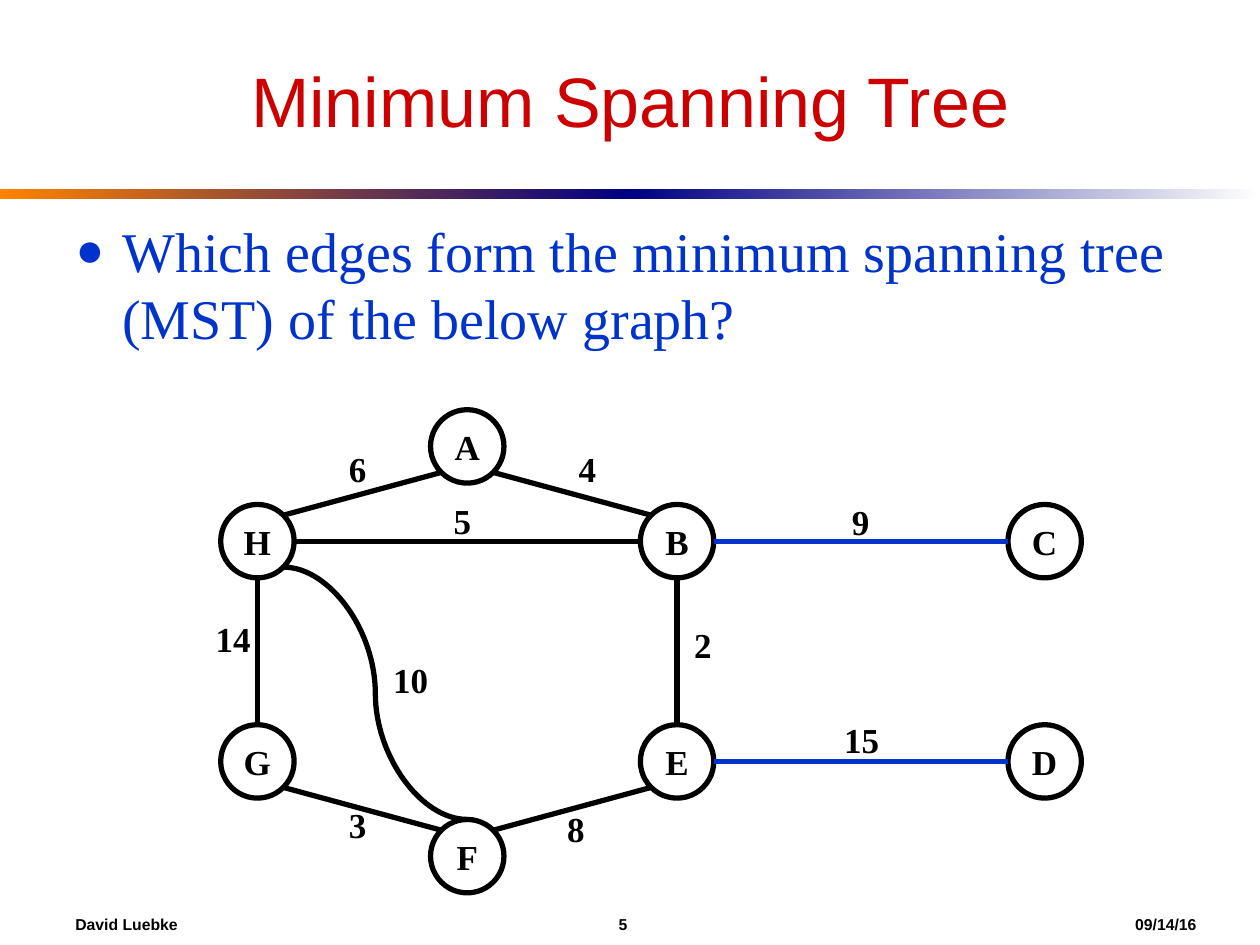
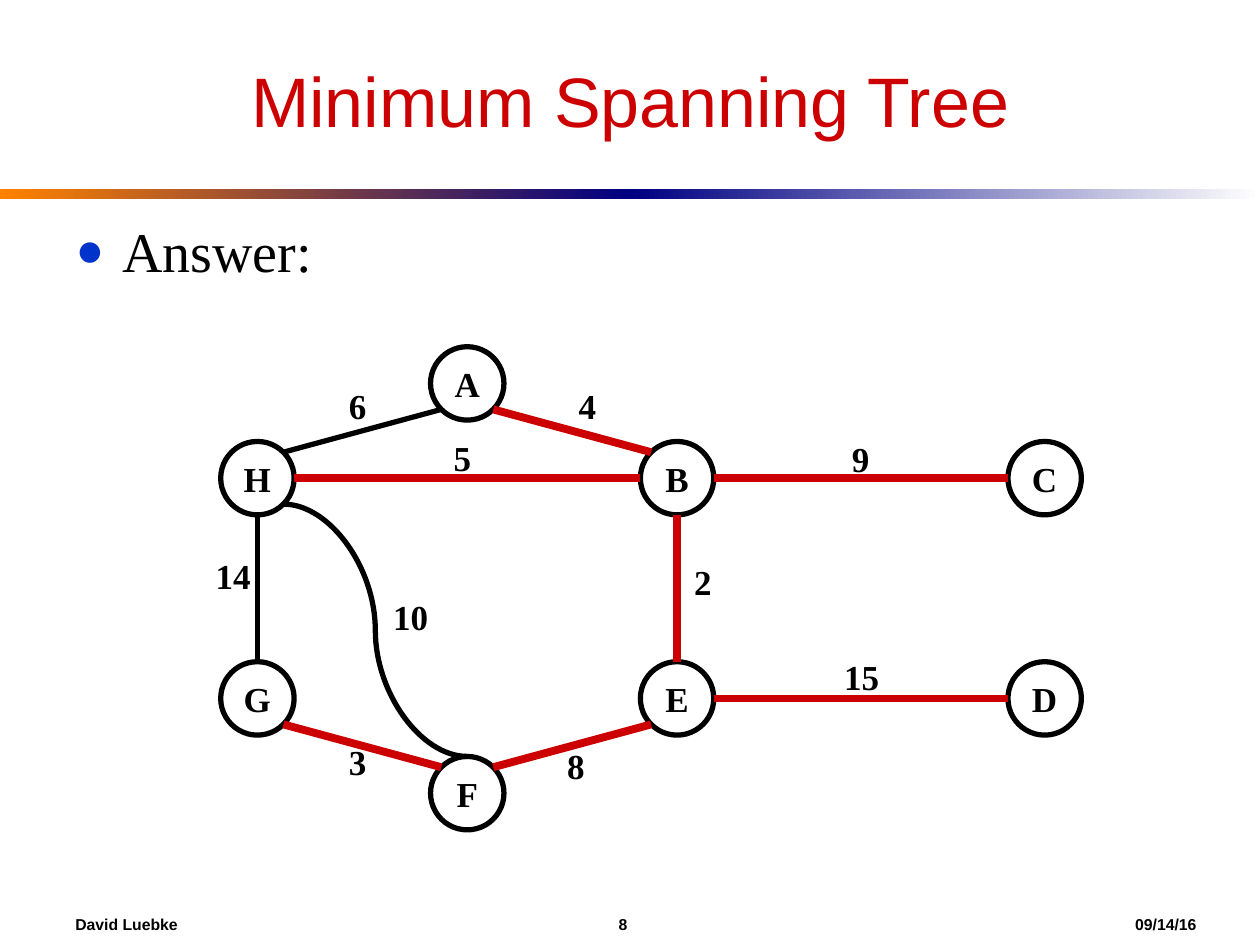
from enum import IntEnum
from math import cos, pi, sin
from typing import NamedTuple

from lxml.etree import SubElement
from pptx import Presentation
from pptx.dml.color import RGBColor
from pptx.enum.shapes import MSO_CONNECTOR, MSO_SHAPE
from pptx.enum.text import MSO_ANCHOR, MSO_AUTO_SIZE, PP_ALIGN
from pptx.oxml.ns import qn
from pptx.util import Cm, Pt

BLACK, BLUE, RED = "000000", "0033CC", "CC0000"
ORANGE, NAVY, WHITE = "FF8200", "000082", "FFFFFF"
SANS, SERIF = "Arial", "Times New Roman"

SLIDE_WIDTH, SLIDE_HEIGHT = 25.4, 19.05
MARGIN, CONTENT_WIDTH = 1.27, 22.86
BAND_TOP, BAND_HEIGHT = 3.81, 0.2
FOOTER_TOP, FOOTER_HEIGHT = 18.21, 0.84
FOOTER_TABS = (("ctr", 11.04), ("r", 22.6))
DIAMETER = 1.48
LABEL_HEIGHT = 1.12

# Left edges of the graph columns and top edges of its rows
X1, X2, X3, X4 = 4.45, 8.68, 12.91, 20.32
Y1, Y2, Y3, Y4 = 0, 1.91, 6.35, 8.26
NODES = {
    "H": (X1, Y2), "B": (X3, Y2), "C": (X4, Y2),
    "G": (X1, Y3), "E": (X3, Y3), "D": (X4, Y3),
    "F": (X2, Y4), "A": (X2, Y1),
}


class Site(IntEnum):
    """Connection sites of an ellipse, counter-clockwise in steps of 45 degrees."""
    TOP = 0
    TOP_LEFT = 1
    LEFT = 2
    BOTTOM_LEFT = 3
    BOTTOM = 4
    BOTTOM_RIGHT = 5
    RIGHT = 6
    TOP_RIGHT = 7


class Edge(NamedTuple):
    """A weighted edge; the label centre is measured from the graph's top."""
    start: str
    start_site: Site
    end: str
    end_site: Site
    weight: int
    label_x: float
    label_y: float
    curved: bool = False


class GraphSlide(NamedTuple):
    number: int
    statement: str
    statement_color: str
    graph_top: float
    highlighted: set[str]
    highlight_color: str
    highlight_width: float


EDGES = [
    Edge("A", Site.BOTTOM_RIGHT, "B", Site.TOP_LEFT, 4, 11.84, 1.19),
    Edge("A", Site.BOTTOM_LEFT, "H", Site.TOP_RIGHT, 6, 7.21, 1.19),
    Edge("H", Site.RIGHT, "B", Site.LEFT, 5, 9.32, 2.24),
    Edge("G", Site.TOP, "H", Site.BOTTOM, 14, 4.7, 4.62),
    Edge("G", Site.BOTTOM_RIGHT, "F", Site.TOP_LEFT, 3, 7.21, 8.38),
    Edge("F", Site.TOP_RIGHT, "E", Site.BOTTOM_LEFT, 8, 11.61, 8.46),
    Edge("E", Site.TOP, "B", Site.BOTTOM, 2, 14.17, 4.75),
    Edge("B", Site.RIGHT, "C", Site.LEFT, 9, 17.35, 2.26),
    Edge("E", Site.RIGHT, "D", Site.LEFT, 15, 17.37, 6.65),
    Edge("F", Site.TOP, "H", Site.BOTTOM_RIGHT, 10, 8.28, 5.44, curved=True),
]

GRAPH_SLIDES = [
    GraphSlide(5, "Which edges form the minimum spanning tree (MST) of the below graph?",
               BLUE, 8.26, {"BC", "ED"}, BLUE, 3),
    GraphSlide(8, "Answer:", BLACK, 6.99,
               {"AB", "HB", "GF", "FE", "EB", "BC", "ED"}, RED, 4.5),
]


def rgb(color: str) -> RGBColor:
    return RGBColor.from_string(color)


def box(left: float, top: float, width: float, height: float) -> tuple[Cm, ...]:
    return Cm(left), Cm(top), Cm(width), Cm(height)


def write(shape, text: str, font: str, size: float, color: str, bold: bool = False) -> None:
    """Set one paragraph of text and format its run."""
    shape.text_frame.text = text
    for run in shape.text_frame.paragraphs[0].runs:
        run.font.name, run.font.size, run.font.bold = font, Pt(size), bold
        run.font.color.rgb = rgb(color)


def write_graph_text(shape, text: str) -> None:
    write(shape, text, SERIF, 20, BLACK, bold=True)
    shape.text_frame.word_wrap = False
    shape.text_frame.paragraphs[0].alignment = PP_ALIGN.CENTER


def set_up_layout(layout) -> None:
    """Place the title and body for every slide of the layout."""
    places = {0: box(MARGIN, 0.64, CONTENT_WIDTH, 2.74),
              1: box(MARGIN, 4.24, CONTENT_WIDTH, 12.07)}
    for index, place in places.items():
        placeholder = layout.placeholders.get(index)
        placeholder.left, placeholder.top, placeholder.width, placeholder.height = place


def add_bands(slide) -> None:
    half = SLIDE_WIDTH / 2
    for index, colors in enumerate(((ORANGE, NAVY), (NAVY, WHITE))):
        band = slide.shapes.add_shape(
            MSO_SHAPE.RECTANGLE, *box(index * half, BAND_TOP, half, BAND_HEIGHT))
        band.shadow.inherit = False
        band.line.fill.background()
        band.fill.gradient()
        band.fill.gradient_angle = 0
        for stop, color in zip(band.fill.gradient_stops, colors):
            stop.color.rgb = rgb(color)


def add_footer(slide, number: int) -> None:
    footer = slide.shapes.add_textbox(
        *box(MARGIN, FOOTER_TOP, CONTENT_WIDTH, FOOTER_HEIGHT))
    write(footer, f"David Luebke\t{number}\t09/14/16", SANS, 9, BLACK, bold=True)
    frame = footer.text_frame
    frame.word_wrap = True
    frame.margin_right = 0
    frame.vertical_anchor = MSO_ANCHOR.MIDDLE
    properties = frame.paragraphs[0]._p.get_or_add_pPr()
    tabs = SubElement(properties, qn("a:tabLst"))
    for alignment, position in FOOTER_TABS:
        SubElement(tabs, qn("a:tab"), pos=str(Cm(position)), algn=alignment)


def write_title(slide) -> None:
    title = slide.shapes.title
    write(title, "Minimum Spanning Tree", SANS, 40, RED)
    title.text_frame.auto_size = MSO_AUTO_SIZE.NONE
    title.text_frame.vertical_anchor = MSO_ANCHOR.MIDDLE
    title.text_frame.paragraphs[0].alignment = PP_ALIGN.CENTER


def write_statement(slide, text: str, color: str) -> None:
    body = slide.placeholders[1]
    write(body, text, SERIF, 32, color)
    body.text_frame.auto_size = MSO_AUTO_SIZE.NONE
    paragraph = body.text_frame.paragraphs[0]
    paragraph.space_before = Pt(8)
    properties = paragraph._p.get_or_add_pPr()
    properties.set("marL", str(Cm(0.94)))
    properties.set("indent", str(Cm(-0.94)))
    bullet_color = SubElement(properties, qn("a:buClr"))
    SubElement(bullet_color, qn("a:srgbClr"), val=BLUE)
    SubElement(properties, qn("a:buSzPct"), val="85000")
    SubElement(properties, qn("a:buFont"), typeface=SERIF)
    SubElement(properties, qn("a:buChar"), char="●")


def add_node(slide, name: str, graph_top: float):
    left, top = NODES[name]
    node = slide.shapes.add_shape(
        MSO_SHAPE.OVAL, *box(left, graph_top + top, DIAMETER, DIAMETER))
    node.shadow.inherit = False
    node.fill.background()
    node.line.color.rgb = rgb(BLACK)
    node.line.width = Pt(3)
    write_graph_text(node, name)
    node.text_frame.vertical_anchor = MSO_ANCHOR.MIDDLE
    return node


def site_position(name: str, site: Site, graph_top: float) -> tuple[Cm, Cm]:
    left, top = NODES[name]
    radius, angle = DIAMETER / 2, site * pi / 4
    return (Cm(left + radius * (1 - sin(angle))),
            Cm(graph_top + top + radius * (1 - cos(angle))))


def add_edge(slide, edge: Edge, nodes: dict, graph_top: float, color: str, width: float) -> None:
    connector = slide.shapes.add_connector(
        MSO_CONNECTOR.CURVE if edge.curved else MSO_CONNECTOR.STRAIGHT,
        *site_position(edge.start, edge.start_site, graph_top),
        *site_position(edge.end, edge.end_site, graph_top))
    connector.line.color.rgb = rgb(color)
    connector.line.width = Pt(width)
    SubElement(connector._element.spPr, qn("a:effectLst"))
    if edge.curved:
        return
    # begin_connect and end_connect know only four sites; an ellipse has eight
    joints = connector._element.nvCxnSpPr.cNvCxnSpPr
    for tag, name, site in (("a:stCxn", edge.start, edge.start_site),
                            ("a:endCxn", edge.end, edge.end_site)):
        SubElement(joints, qn(tag), id=str(nodes[name].shape_id), idx=str(int(site)))


def add_weight(slide, edge: Edge, graph_top: float) -> None:
    text = str(edge.weight)
    width = 0.5 + 0.36 * len(text)
    label = slide.shapes.add_textbox(*box(
        edge.label_x - width / 2, graph_top + edge.label_y - LABEL_HEIGHT / 2,
        width, LABEL_HEIGHT))
    write_graph_text(label, text)


def add_graph(slide, content: GraphSlide) -> None:
    nodes = {name: add_node(slide, name, content.graph_top) for name in NODES}
    for edge in EDGES:
        color, width = BLACK, 3
        if edge.start + edge.end in content.highlighted:
            color, width = content.highlight_color, content.highlight_width
        add_edge(slide, edge, nodes, content.graph_top, color, width)
    for edge in EDGES:
        add_weight(slide, edge, content.graph_top)


def main() -> None:
    presentation = Presentation()
    presentation.slide_width = Cm(SLIDE_WIDTH)
    presentation.slide_height = Cm(SLIDE_HEIGHT)
    layout = presentation.slide_layouts[1]
    set_up_layout(layout)
    for content in GRAPH_SLIDES:
        slide = presentation.slides.add_slide(layout)
        add_bands(slide)
        add_footer(slide, content.number)
        write_title(slide)
        write_statement(slide, content.statement, content.statement_color)
        add_graph(slide, content)
    presentation.save("out.pptx")


if __name__ == "__main__":
    main()
